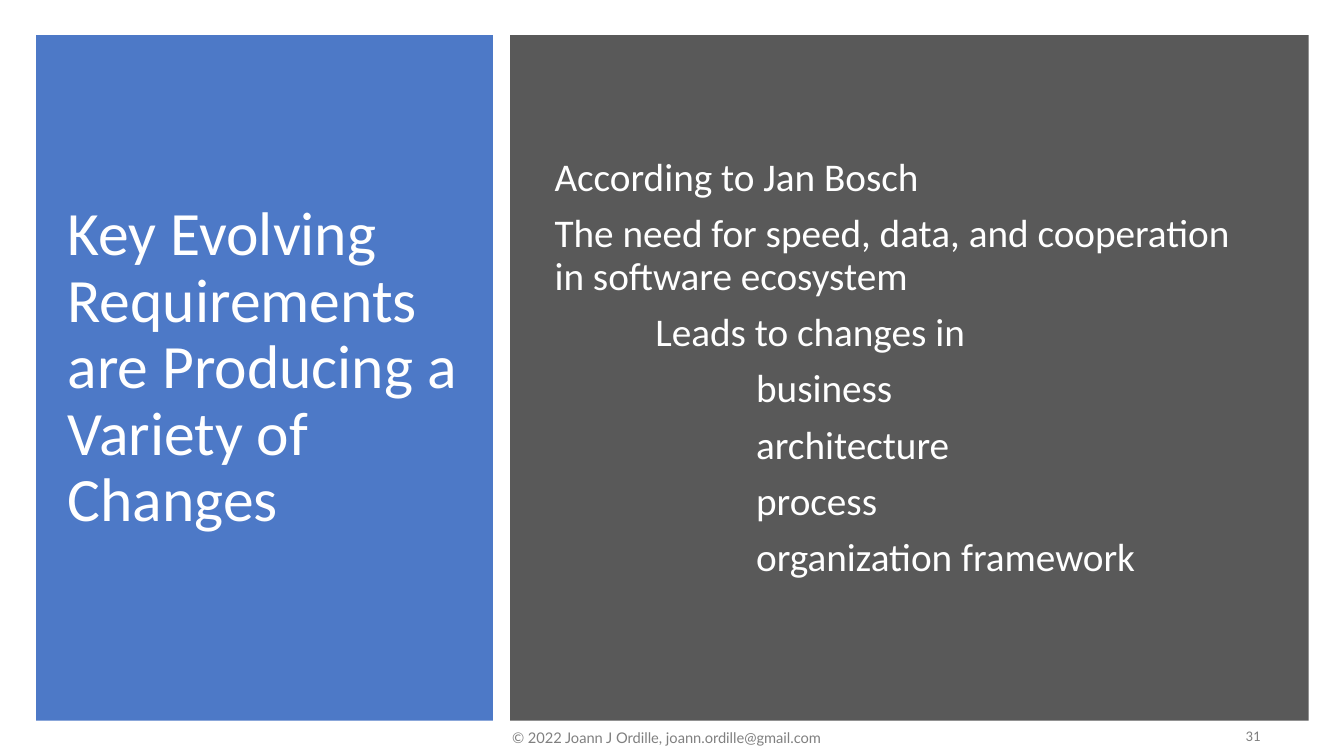
from lxml.etree import SubElement
from pptx import Presentation
from pptx.dml.color import RGBColor
from pptx.enum.shapes import MSO_SHAPE
from pptx.enum.text import MSO_ANCHOR, MSO_AUTO_SIZE, PP_ALIGN
from pptx.oxml.ns import qn
from pptx.util import Inches, Pt

BLUE = RGBColor(0x44, 0x72, 0xC4)
DARK_GRAY = RGBColor(0x59, 0x59, 0x59)
GRAY = RGBColor(0x80, 0x80, 0x80)
WHITE = RGBColor(0xFF, 0xFF, 0xFF)


def place(holder, left, top, width, height):
    holder.left, holder.top = Inches(left), Inches(top)
    holder.width, holder.height = Inches(width), Inches(height)
    frame = holder.text_frame
    frame.word_wrap = True
    frame.auto_size = MSO_AUTO_SIZE.NONE
    frame.vertical_anchor = MSO_ANCHOR.MIDDLE
    return frame


def write(paragraph, text, font_name, size, color, align=PP_ALIGN.LEFT, indent=0):
    paragraph.text = text
    paragraph.alignment = align
    properties = paragraph._p.get_or_add_pPr()
    properties.set("marL", str(Inches(indent)))
    properties.set("indent", "0")
    SubElement(properties, qn("a:buNone"))
    paragraph.font.name = font_name
    paragraph.font.size = Pt(size)
    paragraph.font.color.rgb = color


presentation = Presentation()
presentation.slide_width = Inches(13.33)
presentation.slide_height = Inches(7.5)
slide = presentation.slides.add_slide(presentation.slide_layouts[1])
title = slide.shapes.title
requirements = slide.placeholders[1]

for left, width, color in [(0.36, 4.53, BLUE), (5.06, 7.92, DARK_GRAY)]:
    panel = slide.shapes.add_shape(
        MSO_SHAPE.RECTANGLE, Inches(left), Inches(0.35), Inches(width), Inches(6.8))
    panel.shadow.inherit = False
    panel.fill.solid()
    panel.fill.fore_color.rgb = color
    panel.line.fill.background()
    if color == BLUE:
        blue_fill = panel.element.spPr.find(qn("a:solidFill"))
        SubElement(blue_fill[0], qn("a:alpha"), val="95000")
    title.element.addprevious(panel.element)

heading = place(title, 0.57, 0.64, 4.07, 6.04).paragraphs[0]
write(heading, "Key Evolving Requirements are Producing a Variety of Changes",
      "Calibri", 44, WHITE)
heading.line_spacing = 0.9

statements = [
    ("According to Jan Bosch", 0),
    ("The need for speed, data, and cooperation in software ecosystem", 0),
    ("Leads to changes in", 1),
    ("business", 2),
    ("architecture", 2),
    ("process", 2),
    ("organization framework", 2),
]
requirements_frame = place(requirements, 5.4, 0.64, 7.21, 6.04)
for number, (text, indent) in enumerate(statements):
    statement = requirements_frame.paragraphs[0] if number == 0 else requirements_frame.add_paragraph()
    write(statement, text, "Calibri", 28, WHITE, indent=indent)
    statement.line_spacing = 0.9
    statement.space_before = Pt(10 if number else 0)

footers = [
    ("© 2022 Joann J Ordille, joann.ordille@gmail.com", "Lato",
     (4.48, 7.17, 5.85, 0.3), PP_ALIGN.LEFT, 0.5),
    ("31", "Calibri", (11.54, 7.15, 1.06, 0.3), PP_ALIGN.RIGHT, 0),
]
for text, font_name, bounds, align, indent in footers:
    footer = slide.shapes.add_textbox(*map(Inches, bounds))
    footer_line = place(footer, *bounds).paragraphs[0]
    write(footer_line, text, font_name, 10.5, GRAY, align, indent)
    footer_line.space_after = Pt(6)

presentation.save("out.pptx")
